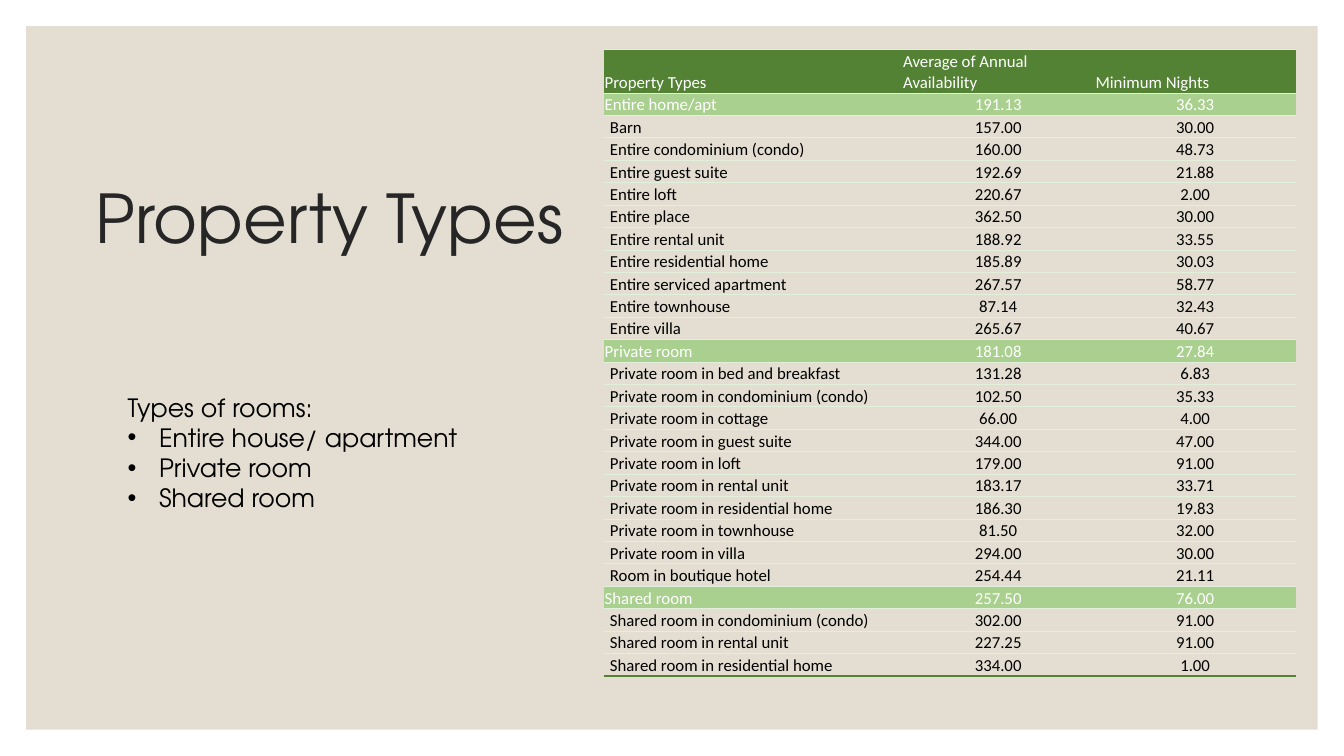
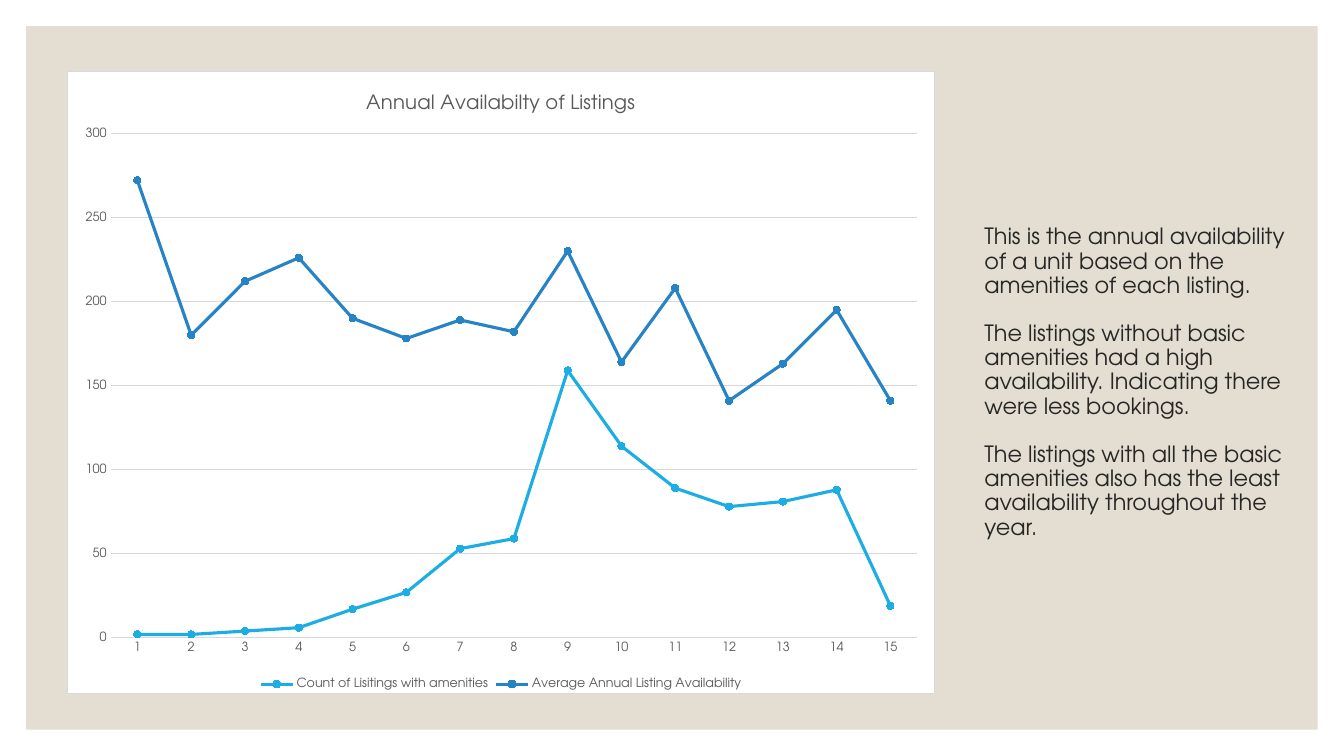
from dataclasses import dataclass

from lxml.etree import SubElement
from pptx import Presentation
from pptx.chart.data import CategoryChartData
from pptx.dml.color import RGBColor
from pptx.enum.chart import XL_CHART_TYPE, XL_LEGEND_POSITION, XL_MARKER_STYLE, XL_TICK_MARK
from pptx.enum.shapes import MSO_SHAPE
from pptx.enum.text import MSO_ANCHOR, PP_ALIGN
from pptx.oxml import parse_xml
from pptx.oxml.ns import nsdecls, qn
from pptx.util import Cm, Pt


@dataclass(frozen=True)
class Theme:
    band: str = "E3DED1"
    ink: str = "262626"
    black: str = "000000"
    white: str = "FFFFFF"
    grey: str = "595959"
    grid: str = "D9D9D9"
    header: str = "548235"
    group: str = "A9D08E"
    rule: str = "E2EFDA"
    series: tuple = ("1CADE4", "2683C6")
    font: str = "TeX Gyre Adventor"
    table_font: str = "Calibri"
    title_size: int = 48
    list_size: int = 18
    note_size: int = 16
    chart_title_size: int = 14
    table_size: int = 12
    label_size: int = 9


THEME = Theme()
PAGE_WIDTH, PAGE_HEIGHT, PAGE_MARGIN = 33.87, 19.05, 0.66
NO_TABLE_STYLE = "{2D5ABB26-0587-4C30-8999-92F81FD0307C}"


def set_font(font, size, color, name=THEME.font):
    font.size, font.name, font.bold = Pt(size), name, False
    font.color.rgb = RGBColor.from_string(color)


def write_text(frame, lines, size, color, name=THEME.font, align=PP_ALIGN.LEFT,
               line_spacing=None, gap=0, bullets_from=None):
    """Write one paragraph per line; lines from bullets_from on get a bullet."""
    for index, line in enumerate(lines):
        paragraph = frame.add_paragraph() if index else frame.paragraphs[0]
        if bullets_from is not None and index >= bullets_from:
            properties = paragraph._p.get_or_add_pPr()
            properties.set("marL", str(Cm(0.79)))
            properties.set("indent", str(-Cm(0.79)))
            SubElement(properties, qn("a:buFont"), typeface="Arial")
            SubElement(properties, qn("a:buChar"), char="•")
        paragraph.alignment = align
        if line_spacing:
            paragraph.line_spacing = line_spacing
        if index and gap:
            paragraph.space_before = Pt(gap)
        run = paragraph.add_run()
        run.text = line
        set_font(run.font, size, color, name)


def line_xml(tag, color, width):
    return parse_xml(
        f'<{tag} {nsdecls("a")} w="{Pt(width)}"><a:solidFill>'
        f'<a:srgbClr val="{color}"/></a:solidFill></{tag}>')


class Deck:
    def __init__(self):
        self.presentation = Presentation()
        self.presentation.slide_width = Cm(PAGE_WIDTH)
        self.presentation.slide_height = Cm(PAGE_HEIGHT)
        self.slide = None

    def add_slide(self):
        self.slide = self.presentation.slides.add_slide(self.presentation.slide_layouts[6])
        band = self.slide.shapes.add_shape(
            MSO_SHAPE.RECTANGLE, Cm(PAGE_MARGIN), Cm(PAGE_MARGIN),
            Cm(PAGE_WIDTH - 2 * PAGE_MARGIN), Cm(PAGE_HEIGHT - 2 * PAGE_MARGIN))
        band.shadow.inherit = False
        band.fill.solid()
        band.fill.fore_color.rgb = RGBColor.from_string(THEME.band)
        band.line.fill.background()

    def add_text(self, box, lines, anchor=MSO_ANCHOR.TOP, **text_format):
        frame = self.slide.shapes.add_textbox(*map(Cm, box)).text_frame
        frame.word_wrap = True
        frame.vertical_anchor = anchor
        write_text(frame, lines, **text_format)

    def add_title(self, box, lines, size, **text_format):
        self.add_text(box, lines, MSO_ANCHOR.MIDDLE, size=size, color=THEME.ink,
                      line_spacing=0.9, **text_format)

    def add_table(self, left, top, widths, height, header_height, header, groups):
        # Each row is its cells, fill, text colour and left inset
        rows = [(header, THEME.header, THEME.white, 0.03)]
        for group, members in groups:
            rows.append((group, THEME.group, THEME.white, 0.03))
            rows += [(member, None, THEME.black, 0.16) for member in members]
        table = self.slide.shapes.add_table(
            len(rows), len(widths), Cm(left), Cm(top), Cm(sum(widths)), Cm(height)).table
        table.first_row = table.horz_banding = False
        table._tbl.tblPr.find(qn("a:tableStyleId")).text = NO_TABLE_STYLE
        for column, width in zip(table.columns, widths):
            column.width = Cm(width)

        row_height = (height - header_height) / (len(rows) - 1)
        for row_index, (values, fill, color, inset) in enumerate(rows):
            table.rows[row_index].height = Cm(row_height if row_index else header_height)
            is_last = row_index == len(rows) - 1
            for column_index, value in enumerate(values):
                cell = table.cell(row_index, column_index)
                is_number = row_index and column_index
                cell.margin_left = Cm(0.03 if column_index else inset)
                cell.margin_top = cell.margin_right = Cm(0.03)
                cell.margin_bottom = 0
                cell.vertical_anchor = MSO_ANCHOR.BOTTOM
                write_text(cell.text_frame, [value], THEME.table_size, color, THEME.table_font,
                           PP_ALIGN.CENTER if is_number else PP_ALIGN.LEFT)
                properties = cell._tc.get_or_add_tcPr()
                properties.append(line_xml("a:lnT", THEME.rule, 0.5))
                properties.append(line_xml("a:lnB", THEME.header, 2) if is_last
                                  else line_xml("a:lnB", THEME.rule, 0.5))
                if fill:
                    cell.fill.solid()
                    cell.fill.fore_color.rgb = RGBColor.from_string(fill)
                else:
                    cell.fill.background()

    def add_line_chart(self, box, title, categories, series, plot_area):
        data = CategoryChartData()
        data.categories = categories
        for name, values in series:
            data.add_series(name, values)
        chart = self.slide.shapes.add_chart(
            XL_CHART_TYPE.LINE_MARKERS, *map(Cm, box), data).chart
        set_font(chart.font, THEME.label_size, THEME.grey)
        chart.has_title = True
        write_text(chart.chart_title.text_frame, [title], THEME.chart_title_size, THEME.grey,
                   align=PP_ALIGN.CENTER)
        chart.has_legend = True
        chart.legend.position = XL_LEGEND_POSITION.BOTTOM
        chart.legend.include_in_layout = False
        set_font(chart.legend.font, THEME.label_size, THEME.grey)

        # Axes
        grid_color = RGBColor.from_string(THEME.grid)
        for axis in (chart.category_axis, chart.value_axis):
            axis.major_tick_mark = axis.minor_tick_mark = XL_TICK_MARK.NONE
            set_font(axis.tick_labels.font, THEME.label_size, THEME.grey)
        value_axis = chart.value_axis
        value_axis.minimum_scale, value_axis.maximum_scale, value_axis.major_unit = 0, 300, 50
        value_axis.format.line.fill.background()
        for line in (chart.category_axis.format.line, value_axis.major_gridlines.format.line):
            line.color.rgb, line.width = grid_color, Pt(0.75)

        # Series
        plot = chart.plots[0]
        plot.vary_by_categories = False
        for chart_series, color in zip(plot.series, THEME.series):
            rgb = RGBColor.from_string(color)
            chart_series.smooth = False
            chart_series.format.line.color.rgb = rgb
            chart_series.format.line.width = Pt(2.25)
            marker = chart_series.marker
            marker.style, marker.size = XL_MARKER_STYLE.CIRCLE, 5
            marker.format.fill.solid()
            marker.format.fill.fore_color.rgb = rgb
            marker.format.line.color.rgb = rgb

        # Chart background and fixed plot area
        chart_element = chart._chartSpace.find(qn("c:chart"))
        background = parse_xml(
            f'<c:spPr {nsdecls("c", "a")}><a:solidFill><a:srgbClr val="{THEME.white}"/>'
            '</a:solidFill></c:spPr>')
        background.append(line_xml("a:ln", THEME.grid, 0.75))
        chart_element.addnext(background)
        plot_element = chart_element.find(qn("c:plotArea"))
        for layout in plot_element.findall(qn("c:layout")):
            plot_element.remove(layout)
        layout = parse_xml(f'<c:layout {nsdecls("c")}><c:manualLayout/></c:layout>')
        settings = [("layoutTarget", "inner"), ("xMode", "edge"), ("yMode", "edge"),
                    *zip("xywh", plot_area)]
        for tag, value in settings:
            SubElement(layout[0], qn(f"c:{tag}"), val=str(value))
        plot_element.insert(0, layout)


HEADER = ("Property Types", "Average of Annual Availability", "Minimum Nights")
PROPERTY_GROUPS = [
    (("Entire home/apt", "191.13", "36.33"), [
        ("Barn", "157.00", "30.00"),
        ("Entire condominium (condo)", "160.00", "48.73"),
        ("Entire guest suite", "192.69", "21.88"),
        ("Entire loft", "220.67", "2.00"),
        ("Entire place", "362.50", "30.00"),
        ("Entire rental unit", "188.92", "33.55"),
        ("Entire residential home", "185.89", "30.03"),
        ("Entire serviced apartment", "267.57", "58.77"),
        ("Entire townhouse", "87.14", "32.43"),
        ("Entire villa", "265.67", "40.67"),
    ]),
    (("Private room", "181.08", "27.84"), [
        ("Private room in bed and breakfast", "131.28", "6.83"),
        ("Private room in condominium (condo)", "102.50", "35.33"),
        ("Private room in cottage", "66.00", "4.00"),
        ("Private room in guest suite", "344.00", "47.00"),
        ("Private room in loft", "179.00", "91.00"),
        ("Private room in rental unit", "183.17", "33.71"),
        ("Private room in residential home", "186.30", "19.83"),
        ("Private room in townhouse", "81.50", "32.00"),
        ("Private room in villa", "294.00", "30.00"),
        ("Room in boutique hotel", "254.44", "21.11"),
    ]),
    (("Shared room", "257.50", "76.00"), [
        ("Shared room in condominium (condo)", "302.00", "91.00"),
        ("Shared room in rental unit", "227.25", "91.00"),
        ("Shared room in residential home", "334.00", "1.00"),
    ]),
]
AVAILABILITY = [
    ("Count of Lisitings with amenities",
     (2, 2, 4, 6, 17, 27, 53, 59, 159, 114, 89, 78, 81, 88, 19)),
    ("Average Annual Listing Availability",
     (272, 180, 212, 226, 190, 178, 189, 182, 230, 164, 208, 141, 163, 195, 141)),
]


def main():
    deck = Deck()

    # Property types
    deck.add_slide()
    deck.add_title((2.16, 3.68, 13.87, 3.81), ["Property Types"], THEME.title_size)
    deck.add_text((2.97, 9.75, 12.24, 4.88),
                  ["Types of rooms:", "Entire house/ apartment", "Private room", "Shared room"],
                  size=THEME.list_size, color=THEME.black, bullets_from=1)
    deck.add_table(15.21, 1.24, (7.52, 4.85, 5.08), 15.81, 1.1, HEADER, PROPERTY_GROUPS)

    # Annual availability
    deck.add_slide()
    deck.add_title((24.56, 4.5, 8.15, 10.29), [
        "This is the annual availability of a unit based on the amenities of each listing.",
        "The listings without basic amenities had a high availability. "
        "Indicating there were less bookings.",
        "The listings with all the basic amenities also has the least availability "
        "throughout the year.",
    ], THEME.note_size, gap=17.3)
    deck.add_line_chart((1.68, 1.78, 21.89, 15.72), "Annual Availabilty of Listings",
                        [str(number) for number in range(1, 16)], AVAILABILITY,
                        plot_area=(0.05, 0.1, 0.93, 0.81))

    deck.presentation.save("out.pptx")


if __name__ == "__main__":
    main()
